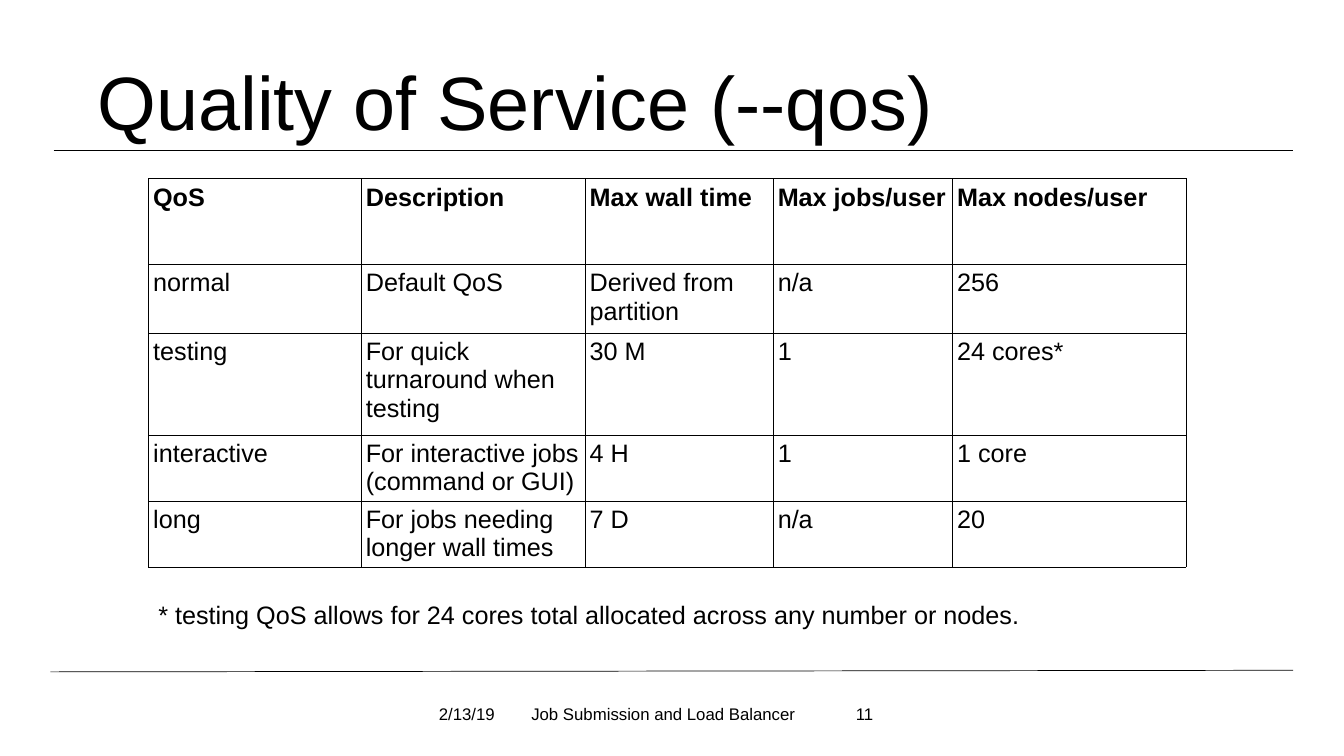
from lxml import etree
from pptx import Presentation
from pptx.dml.color import RGBColor
from pptx.enum.shapes import MSO_CONNECTOR, MSO_SHAPE
from pptx.enum.text import MSO_ANCHOR, PP_ALIGN
from pptx.oxml.ns import qn
from pptx.util import Cm, Pt

STRAIGHT = MSO_CONNECTOR.STRAIGHT
RECTANGLE = MSO_SHAPE.RECTANGLE
TOP, MIDDLE = MSO_ANCHOR.TOP, MSO_ANCHOR.MIDDLE
LEFT, CENTER, RIGHT = PP_ALIGN.LEFT, PP_ALIGN.CENTER, PP_ALIGN.RIGHT

INK = "000000"
PAPER = "FFFFFF"
FONT = "Arial"
RULE_WIDTH = Pt(0.5)
CELL_INSET = Cm(0.12)
CELL_BOTTOM_INSET = Cm(0.02)

COLUMN_WIDTHS = [5.36, 5.64, 4.74, 4.52, 5.89]
ROW_HEIGHTS = [2.16, 1.73, 2.57, 1.65, 1.65]
QOS_ROWS = [
    ["QoS", "Description", "Max wall time", "Max jobs/user", "Max nodes/user"],
    ["normal", "Default QoS", "Derived from partition", "n/a", "256"],
    ["testing", "For quick turnaround when testing", "30 M", "1", "24 cores*"],
    ["interactive", "For interactive jobs (command or GUI)", "4 H", "1", "1 core"],
    ["long", "For jobs needing longer wall times", "7 D", "n/a", "20"],
]
FOOTER = [
    ("2/13/19", 10.81, 2.27, LEFT),
    ("Job Submission and Load Balancer", 13.07, 7.3, CENTER),
    ("11", 20.36, 1.9, RIGHT),
]


def colour(hex_code):
    """Turn a hex string into a colour."""
    return RGBColor.from_string(hex_code)


def style_text(frame, size, bold=False):
    """Format every run of a text frame."""
    for paragraph in frame.paragraphs:
        for run in paragraph.runs:
            run.font.name = FONT
            run.font.size = Pt(size)
            run.font.bold = bold
            run.font.color.rgb = colour(INK)


def write_text(frame, text, size, anchor=MIDDLE, align=LEFT, wrap=True):
    """Write one formatted paragraph into a text frame."""
    frame.word_wrap = wrap
    frame.vertical_anchor = anchor
    frame.text = text
    frame.paragraphs[0].alignment = align
    style_text(frame, size)


def add_text(slide, text, left, top, width, height, size, anchor, wrap):
    """Add a text box and return its paragraph."""
    box = slide.shapes.add_textbox(Cm(left), Cm(top), Cm(width), Cm(height))
    write_text(box.text_frame, text, size, anchor, wrap=wrap)
    return box.text_frame.paragraphs[0]


def add_footer_field(slide, text, left, width, align):
    """Add one plain field of the footer."""
    field = slide.shapes.add_shape(
        RECTANGLE, Cm(left), Cm(17.48), Cm(width), Cm(1.02))
    field.shadow.inherit = False
    field.fill.solid()
    field.fill.fore_color.rgb = colour(PAPER)
    field.line.fill.background()
    write_text(field.text_frame, text, 12, align=align)


def add_rule(slide, x1, y1, x2, y2):
    """Add a thin line across the slide."""
    rule = slide.shapes.add_connector(STRAIGHT, Cm(x1), Cm(y1), Cm(x2), Cm(y2))
    rule.line.color.rgb = colour(INK)
    rule.line.width = RULE_WIDTH
    properties = rule._element.find(qn("p:spPr"))
    etree.SubElement(properties, qn("a:effectLst"))


def add_borders(cell):
    """Draw a thin line on all four sides of a cell."""
    properties = cell._tc.get_or_add_tcPr()
    for side in ("a:lnL", "a:lnR", "a:lnT", "a:lnB"):
        border = etree.SubElement(properties, qn(side), w=str(RULE_WIDTH))
        fill = etree.SubElement(border, qn("a:solidFill"))
        etree.SubElement(fill, qn("a:srgbClr"), val=INK)


def fill_cell(cell, text, bold):
    """Write and format one table cell."""
    cell.margin_left = cell.margin_right = cell.margin_top = CELL_INSET
    cell.margin_bottom = CELL_BOTTOM_INSET
    cell.text_frame.text = text
    style_text(cell.text_frame, 18, bold)
    add_borders(cell)
    cell.fill.solid()
    cell.fill.fore_color.rgb = colour(PAPER)


def add_qos_table(slide, left, top):
    """Add the table of service levels and their limits."""
    table = slide.shapes.add_table(
        len(QOS_ROWS), len(COLUMN_WIDTHS), Cm(left), Cm(top),
        Cm(sum(COLUMN_WIDTHS)), Cm(sum(ROW_HEIGHTS))).table
    table.horz_banding = False
    for column, width in zip(table.columns, COLUMN_WIDTHS):
        column.width = Cm(width)
    for index, (row, height) in enumerate(zip(table.rows, ROW_HEIGHTS)):
        row.height = Cm(height)
        for cell, text in zip(row.cells, QOS_ROWS[index]):
            fill_cell(cell, text, bold=index == 0)


def main():
    """Build the slide and save it."""
    deck = Presentation()
    deck.slide_width, deck.slide_height = Cm(33.87), Cm(19.05)
    slide = deck.slides.add_slide(deck.slide_layouts[6])
    add_rule(slide, 1.27, 16.93, 32.59, 16.89)
    add_rule(slide, 1.35, 3.79, 32.58, 3.79)
    title = add_text(slide, "Quality of Service (--qos)",
                     2.21, 0.82, 29.21, 3.68, 54, MIDDLE, wrap=True)
    title.line_spacing = 0.9
    add_qos_table(slide, 3.74, 4.5)
    for text, left, width, align in FOOTER:
        add_footer_field(slide, text, left, width, align)
    add_text(slide, "* testing QoS allows for 24 cores total allocated "
             "across any number or nodes.",
             3.74, 14.99, 22.28, 1.02, 18, TOP, wrap=False)
    deck.save("out.pptx")


if __name__ == "__main__":
    main()
